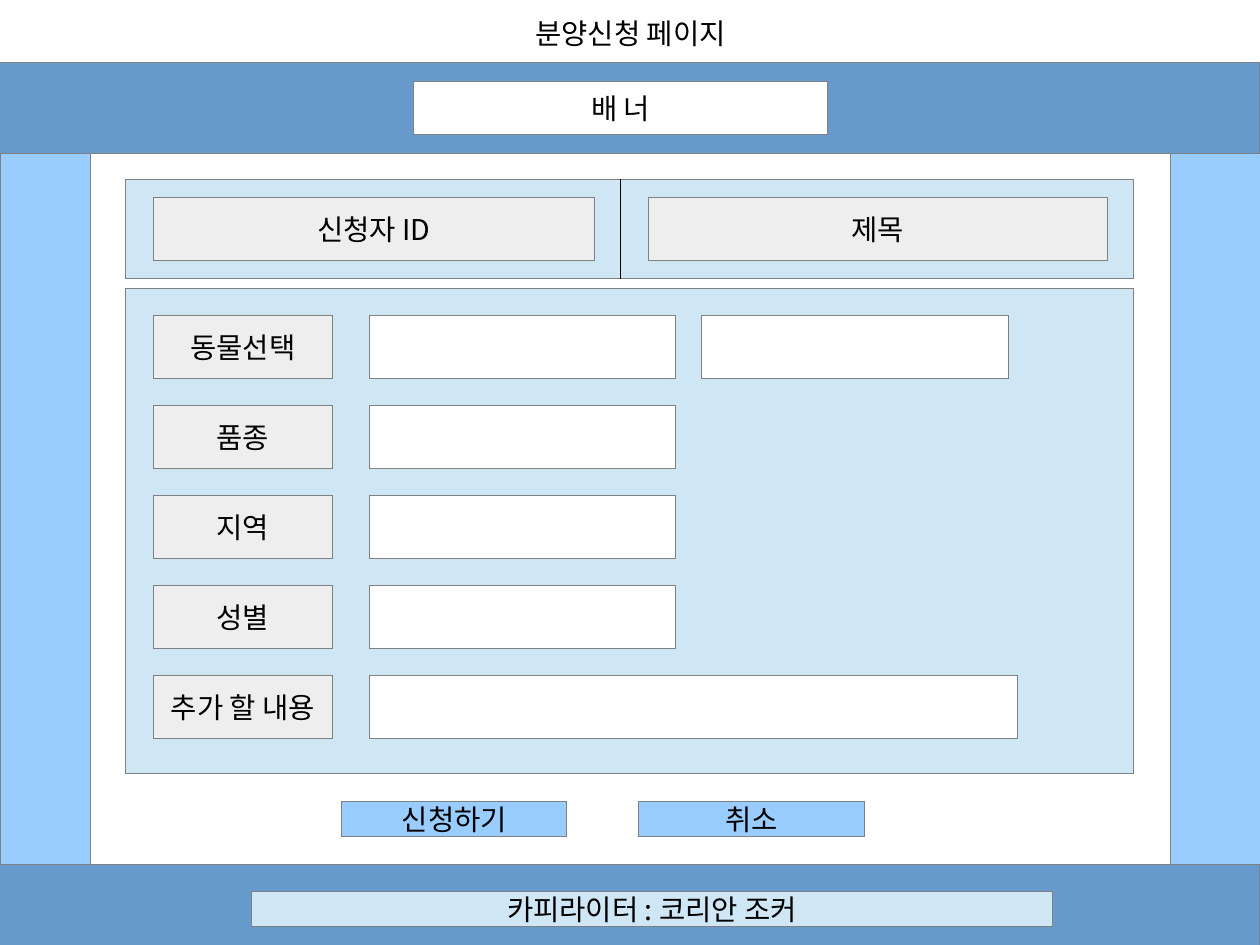
from dataclasses import dataclass

from lxml.etree import SubElement as Sub
from pptx import Presentation
from pptx.dml.color import RGBColor as Rgb
from pptx.dml.line import LineFormat as Line
from pptx.enum.shapes import MSO_CONNECTOR as Link, MSO_SHAPE as Form
from pptx.enum.text import MSO_ANCHOR as Anchor, PP_ALIGN as Align
from pptx.oxml.ns import qn
from pptx.shapes.autoshape import Shape
from pptx.slide import Slide
from pptx.util import Inches, Pt

FONT = "Noto Sans CJK KR"
HUES = {
    "band": "6699CC",
    "side": "99CCFF",
    "panel": "CFE7F5",
    "label": "EEEEEE",
    "field": "FFFFFF",
    "edge": "808080",
    "ink": "000000",
}
WIDE, HIGH = 28 / 2.54, 21 / 2.54
ROW, TOP, STEP = 0.55, 2.76, 3.15 / 4


@dataclass
class Box:
    left: float
    top: float
    width: float
    height: float
    fill: str
    text: str = ""


@dataclass
class Row:
    label: str
    width: float = 2.68


def hue(name: str) -> Rgb:
    return Rgb.from_string(HUES[name])


def set_line(line: Line, name: str) -> None:
    line.color.rgb = hue(name)
    line.width = Pt(0.01)


def put_text(shape: Shape, text: str, *, size: int = 18, ink: str = "ink",
             anchor: Anchor = Anchor.MIDDLE, align: Align = Align.CENTER) -> None:
    frame = shape.text_frame
    frame.word_wrap = True
    frame.vertical_anchor = anchor
    para = frame.paragraphs[0]
    para.alignment = align
    run = para.add_run()
    run.text = text
    run.font.size = Pt(size)
    run.font.name = FONT
    run.font.color.rgb = hue(ink)
    Sub(run.font._element, qn("a:ea")).set("typeface", FONT)


def draw_box(slide: Slide, box: Box) -> None:
    area = map(Inches, (box.left, box.top, box.width, box.height))
    shape = slide.shapes.add_shape(Form.RECTANGLE, *area)
    shape.shadow.inherit = False
    shape.fill.solid()
    shape.fill.fore_color.rgb = hue(box.fill)
    set_line(shape.line, "edge")
    if box.text:
        put_text(shape, box.text)


def draw_line(slide: Slide, left: float, top: float, end: float) -> None:
    link = slide.shapes.add_connector(
        Link.STRAIGHT, Inches(left), Inches(top), Inches(left), Inches(end))
    set_line(link.line, "ink")
    Sub(link._element.spPr, qn("a:effectLst"))


def draw_row(slide: Slide, top: float, row: Row) -> None:
    draw_box(slide, Box(1.34, top, 1.57, ROW, "label", row.label))
    draw_box(slide, Box(3.23, top, row.width, ROW, "field"))


FRAME = [
    Box(0, 0.55, WIDE, 0.79, "band"),
    Box(0, 1.34, 0.79, 6.22, "side"),
    Box(10.24, 1.34, 0.79, 6.22, "side"),
    Box(0, 7.56, WIDE, 0.71, "band"),
    Box(3.62, 0.71, 3.62, 0.47, "field", "배 너"),
    Box(2.2, 7.8, 7.01, 0.31, "panel", "카피라이터 : 코리안 조커"),
    Box(2.99, 7.01, 1.97, 0.31, "side", "신청하기"),
    Box(5.59, 7.01, 1.97, 0.31, "side", "취소"),
    Box(1.1, 1.57, 8.82, 0.87, "panel"),
    Box(1.34, 1.73, 3.86, ROW, "label", "신청자 ID"),
    Box(5.67, 1.73, 4.02, ROW, "label", "제목"),
    Box(1.1, 2.52, 8.82, 4.25, "panel"),
    Box(6.14, TOP, 2.68, ROW, "field"),
]
ROWS = [Row("동물선택"), Row("품종"), Row("지역"), Row("성별"),
        Row("추가 할 내용", 5.67)]


def main() -> None:
    deck = Presentation()
    deck.slide_width, deck.slide_height = Inches(WIDE), Inches(HIGH)
    slide = deck.slides.add_slide(deck.slide_layouts[6])
    title = slide.shapes.add_textbox(*map(Inches, (4.02, 0.09, 2.99, 0.46)))
    put_text(title, "분양신청 페이지", anchor=Anchor.TOP)
    for box in FRAME:
        draw_box(slide, box)
    draw_line(slide, 5.43, 1.57, 2.44)
    for i, row in enumerate(ROWS):
        draw_row(slide, TOP + i * STEP, row)
    deck.save("out.pptx")


if __name__ == "__main__":
    main()
